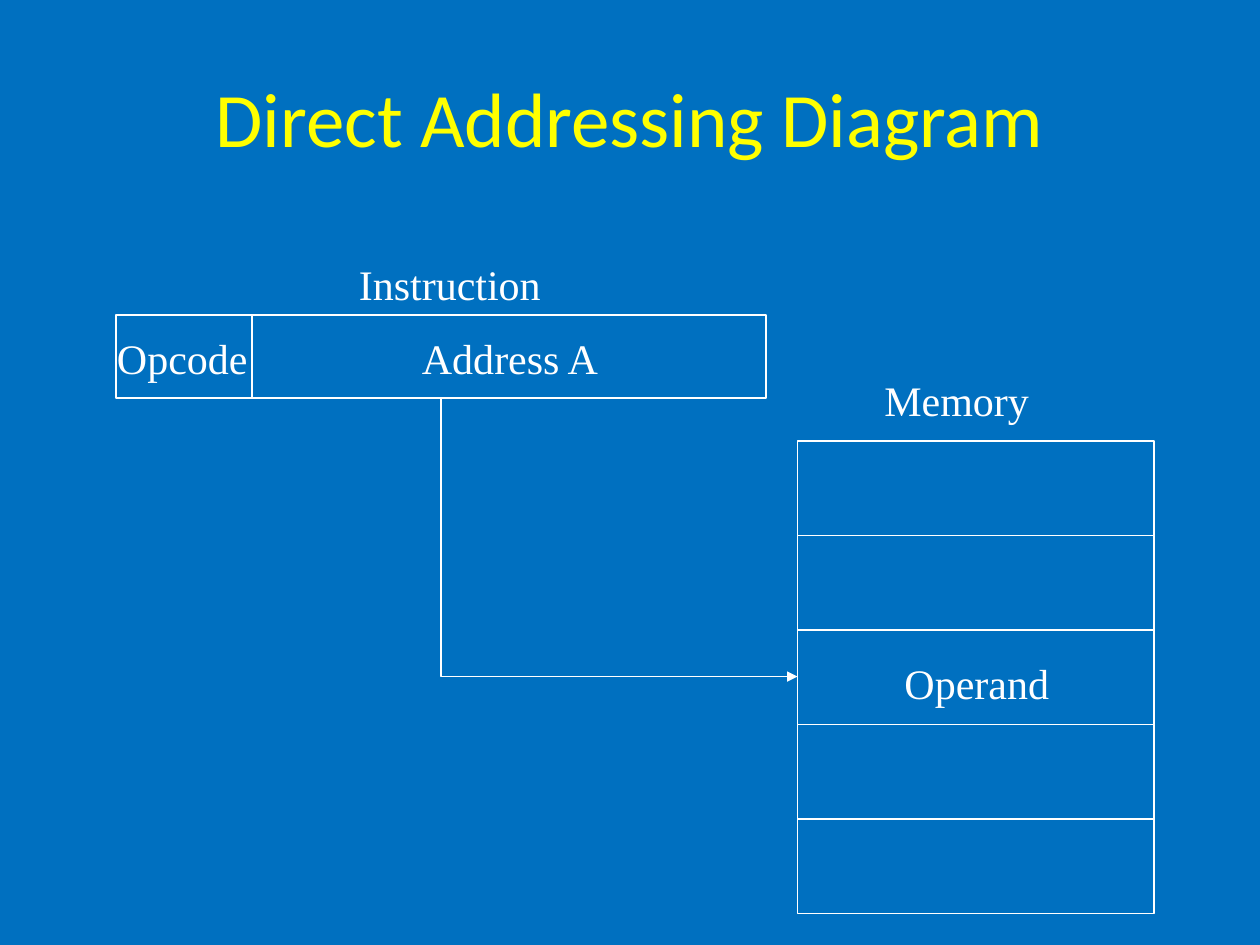
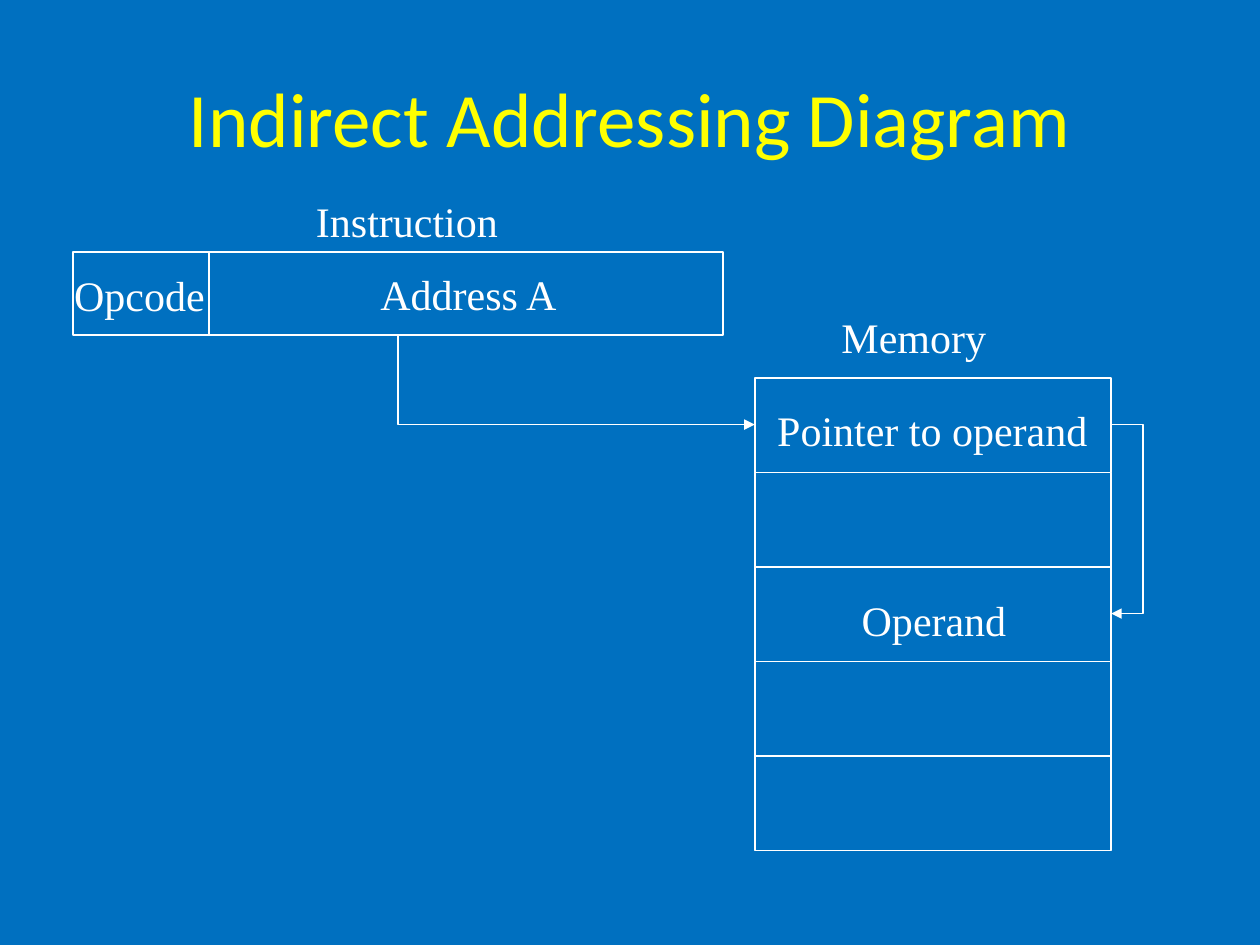
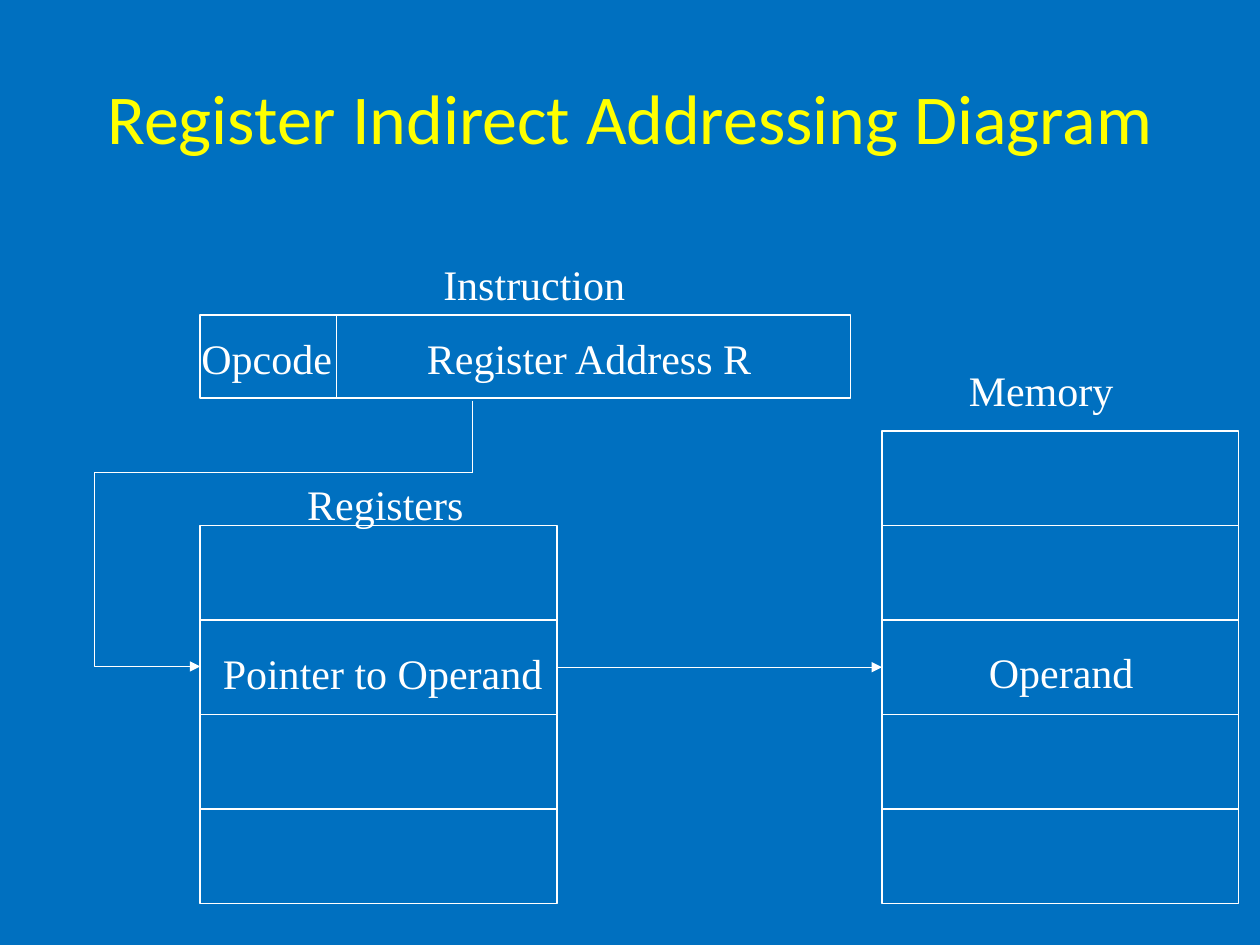
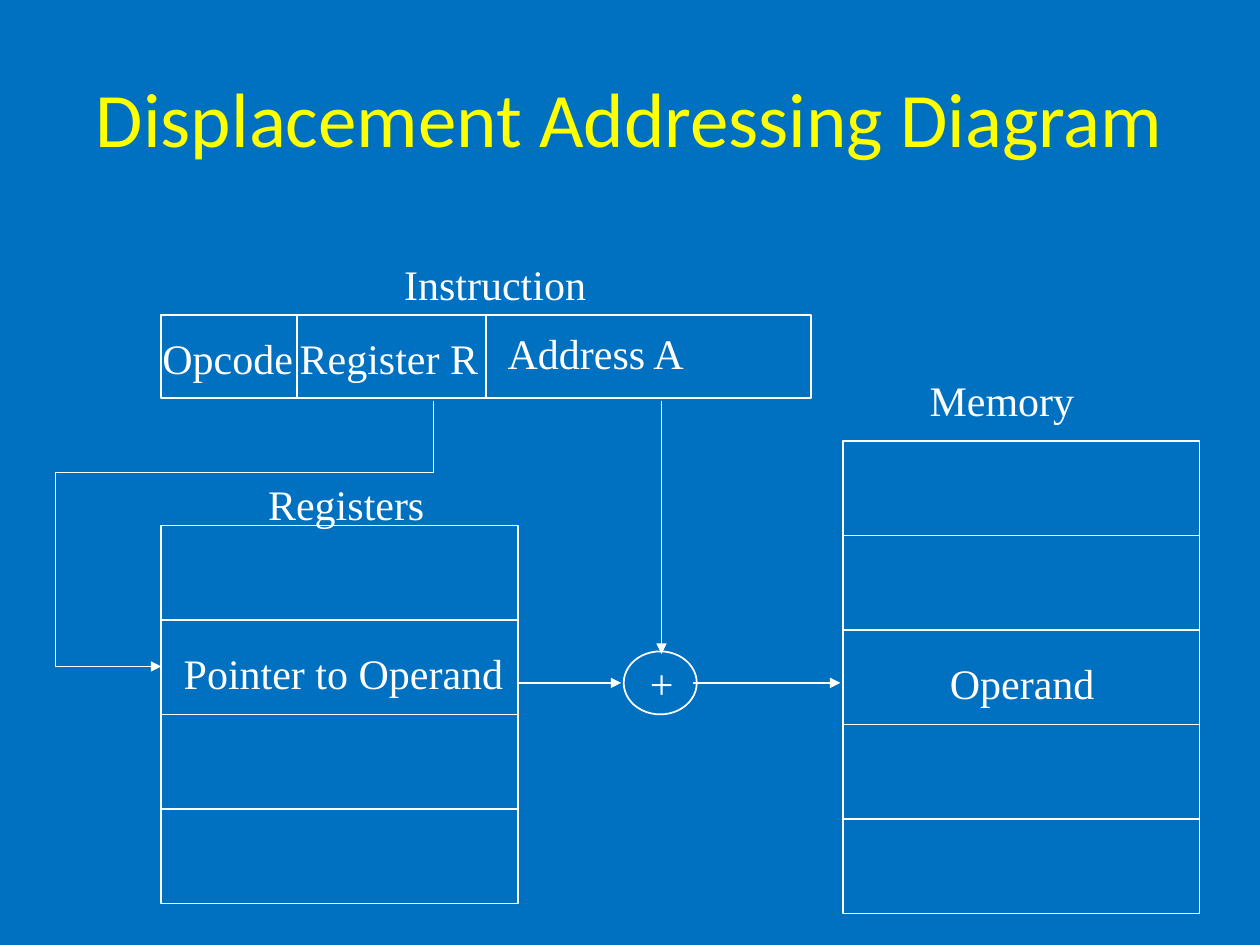
from dataclasses import dataclass

from lxml.etree import SubElement
from pptx import Presentation
from pptx.dml.color import RGBColor
from pptx.enum.shapes import MSO_CONNECTOR, MSO_SHAPE
from pptx.enum.text import MSO_ANCHOR, MSO_AUTO_SIZE, PP_ALIGN
from pptx.oxml.ns import qn
from pptx.util import Pt

PX = 9144  # 100 px to the inch


@dataclass(frozen=True)
class Theme:
    back: RGBColor = RGBColor.from_string("0070C0")
    ink: RGBColor = RGBColor.from_string("FFFFFF")
    head: RGBColor = RGBColor.from_string("FFFF00")
    head_font: str = "Calibri"
    font: str = "Times New Roman"
    size: int = 24
    line: float = 1
    thin: float = 0.75


THEME = Theme()

# left, top: corner of the instruction bar
# fields: text, offset from that corner; splits: dividers after the opcode
# memory: gap below the bar's top; cells: memory row -> text, offset in the row
SLIDES = [
    dict(title="Direct Addressing Diagram", size=44, left=92, top=250,
         fields=[("Address A", 233, 9)], memory=100,
         cells={2: ("Operand", 75, 17)}, target=2),
    dict(title="Indirect Addressing Diagram", size=44, left=58, top=200,
         fields=[("Address A", 234, 8)], memory=100,
         cells={0: ("Pointer to operand", 8, 16), 2: ("Operand", 75, 17)},
         target=0, hop=(0, 2)),
    dict(title="Register Indirect Addressing Diagram", size=40, left=159, top=250,
         fields=[("Register Address R", 170, 9)], memory=92,
         cells={2: ("Operand", 75, 16)}, registers=True),
    dict(title="Displacement Addressing Diagram", size=44, left=128, top=250,
         fields=[("Register R", 100, 9), ("Address A", 265, 5)], splits=[258],
         memory=100, cells={2: ("Operand", 75, 17)}, registers=True, adder=True),
]

WIDTHS = {
    "Address A": 161, "Opcode": 124, "Instruction": 166, "Memory": 135,
    "Operand": 135, "Pointer to operand": 266, "Pointer to Operand": 274,
    "Register Address R": 279, "Register R": 162, "Registers": 144, "+": 39,
}
TEXT_H = 50
TITLE = (50, 30, 900, 125)
BAR_W, BAR_H = 516, 66
SPLIT = 108
CELL_W, CELL_H = 283, 75
MEM_DX, MEM_ROWS = 541, 5
REG_DY, REG_ROWS = 167, 4


def emu(*lengths):
    return [n * PX for n in lengths]


def ink(shape, width=THEME.line, arrow=False):
    """Give a shape or connector its line and, if asked, an arrowhead."""
    shape.line.color.rgb = THEME.ink
    shape.line.width = Pt(width)
    if arrow:
        line = shape.element.spPr.find(qn("a:ln"))
        SubElement(line, qn("a:tailEnd"), type="triangle")


def box(host, x, y, w, h, kind=MSO_SHAPE.RECTANGLE):
    shape = host.add_shape(kind, *emu(x, y, w, h))
    shape.shadow.inherit = False
    shape.fill.background()
    ink(shape)
    return shape


def wire(host, x1, y1, x2, y2, width=THEME.line, arrow=False):
    link = host.add_connector(MSO_CONNECTOR.STRAIGHT, *emu(x1, y1, x2, y2))
    ink(link, width, arrow)
    SubElement(link.element.spPr, qn("a:effectLst"))
    return link


def bend(host, start, *points):
    """Draw an open path with right angles and an arrowhead at its end."""
    pen = host.build_freeform(*start, scale=PX)
    pen.add_line_segments(points, close=False)
    shape = pen.convert_to_shape()
    shape.shadow.inherit = False
    shape.fill.background()
    ink(shape, arrow=True)


def label(host, text, x, y):
    frame = host.add_textbox(*emu(x, y, WIDTHS[text], TEXT_H)).text_frame
    frame.word_wrap = False
    frame.auto_size = MSO_AUTO_SIZE.SHAPE_TO_FIT_TEXT
    frame.text = text
    font = frame.paragraphs[0].font
    font.name, font.size = THEME.font, Pt(THEME.size)
    font.color.rgb = THEME.ink


def stack(host, x, y, rows, cells):
    """Draw a column of equal cells with text in some rows."""
    boxes = [box(host, x, y + i * CELL_H, CELL_W, CELL_H) for i in range(rows)]
    for row, (text, dx, dy) in cells.items():
        label(host, text, x + dx, y + row * CELL_H + dy)
    return boxes


def middle(top, row):
    return top + row * CELL_H + CELL_H // 2


def head(slide, text, size):
    title = slide.shapes.title
    title.left, title.top, title.width, title.height = emu(*TITLE)
    frame = title.text_frame
    frame.text = text
    frame.vertical_anchor = MSO_ANCHOR.MIDDLE
    par = frame.paragraphs[0]
    par.alignment = PP_ALIGN.CENTER
    par.font.name, par.font.size = THEME.head_font, Pt(size)
    par.font.color.rgb = THEME.head


def bar(host, x, y, data):
    """Draw the instruction with its fields."""
    group = host.add_group_shape().shapes
    box(group, x, y, BAR_W, BAR_H)
    for dx in [SPLIT, *data.get("splits", [])]:
        wire(group, x + dx, y + 1, x + dx, y + BAR_H)
    for text, dx, dy in [("Opcode", -9, 9), ("Instruction", 183, -50), *data["fields"]]:
        label(host, text, x + dx, y + dy)


def bank(host, x, y):
    """Draw the registers and the path that leads to them from the bar."""
    top = y + REG_DY
    boxes = stack(host, x, top, REG_ROWS, {1: ("Pointer to Operand", 8, 17)})
    label(host, "Registers", x + 75, top - 42)
    drop, side, turn = x + 216, x - 84, y + 125
    wire(host, drop, y + BAR_H + 2, drop, turn)
    wire(host, drop, turn, side, turn)
    bend(host, (side, turn), (side, middle(top, 1)), (x, middle(top, 1)))
    return boxes


def adder(host, x, y):
    """Draw the plus sign that joins register and address."""
    level = y + 292
    box(host, x + 367, level - 25, 58, 50, MSO_SHAPE.OVAL)
    label(host, "+", x + 378, level - 25)
    wire(host, x + 397, y + BAR_H + 2, x + 397, level - 23, arrow=True)
    for start, end in [(422, 539), (282, 365)]:
        wire(host, x + start, level, x + end, level, THEME.thin, True)


def draw(slide, data):
    host, x, y = slide.shapes, data["left"], data["top"]
    head(slide, data["title"], data["size"])
    bar(host, x, y, data)
    left, top = x + MEM_DX, y + data["memory"]
    memory = stack(host, left, top, MEM_ROWS, data["cells"])
    label(host, "Memory", left + 59, top - 58)
    if "target" in data:
        drop, level = x + 258, middle(top, data["target"])
        bend(host, (drop, y + BAR_H), (drop, level), (left, level))
    if "hop" in data:
        start, end = (middle(top, row) for row in data["hop"])
        edge = left + CELL_W
        bend(host, (edge, start), (edge + 25, start), (edge + 25, end), (edge, end))
    if "registers" in data:
        cells = bank(host, x, y)
        if "adder" in data:
            adder(host, x, y)
        else:
            link = wire(host, x, y, left, y, THEME.thin, True)
            link.begin_connect(cells[1], 3)
            link.end_connect(memory[2], 1)


def main():
    deck = Presentation()
    deck.slide_width, deck.slide_height = emu(1000, 750)
    fill = deck.slide_master.background.fill
    fill.solid()
    fill.fore_color.rgb = THEME.back
    layout = deck.slide_layouts.get_by_name("Title Only")
    for data in SLIDES:
        draw(deck.slides.add_slide(layout), data)
    deck.save("out.pptx")


if __name__ == "__main__":
    main()
